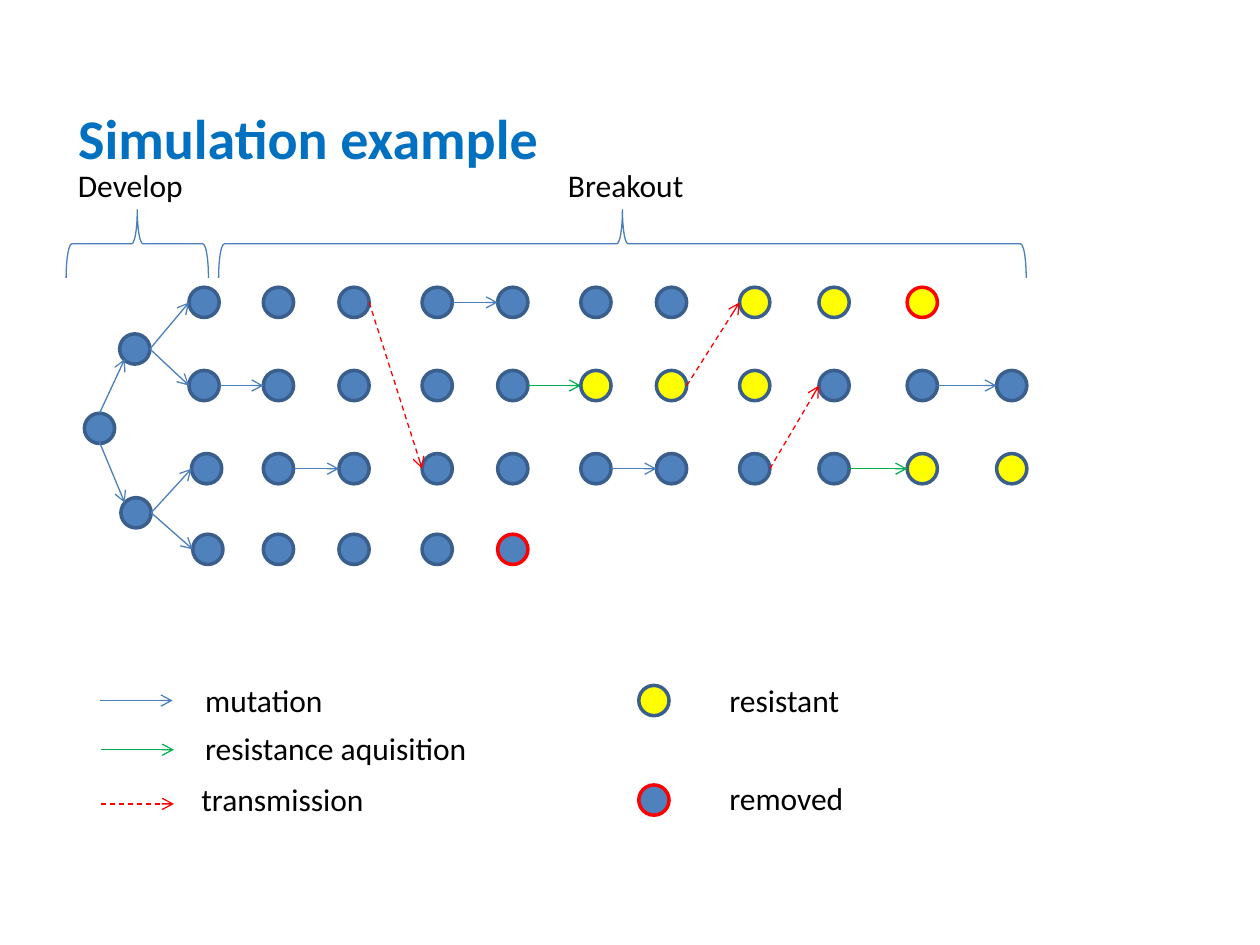
"""Build the simulation example slide with its node grid and legend."""
from pptx import Presentation
from pptx.dml.color import RGBColor
from pptx.enum.dml import MSO_LINE
from pptx.enum.shapes import MSO_CONNECTOR, MSO_SHAPE
from pptx.enum.text import MSO_ANCHOR, MSO_AUTO_SIZE, PP_ALIGN
from pptx.oxml.ns import qn
from pptx.util import Inches, Pt
from lxml.etree import SubElement

BLUE = RGBColor(0x4F, 0x81, 0xBD)
NAVY = RGBColor(0x3A, 0x5F, 0x8C)
STEEL = RGBColor(0x4B, 0x7E, 0xBC)
YELLOW = RGBColor(0xFF, 0xFF, 0x00)
RED = RGBColor(0xFF, 0x00, 0x00)
GREEN = RGBColor(0x00, 0xB0, 0x50)
AZURE = RGBColor(0x00, 0x70, 0xC0)
BLACK = RGBColor(0x00, 0x00, 0x00)

SIZE = 0.24
HALF = SIZE / 2
LOOKS = {"B": (BLUE, NAVY), "Y": (YELLOW, NAVY), "R": (BLUE, RED), "X": (YELLOW, RED)}
ROWS = ["BBBBBBBYYX", "BBBBBYYYBBB", "BBBBBBBBBYY", "BBBBR"]
TOPS = [2.28, 2.94, 3.6, 4.24]
STARTS = [1.5, 1.5, 1.52, 1.53]
COLS = [2.09, 2.69, 3.35, 3.95, 4.61, 5.21, 5.87, 6.5, 7.2, 7.91]
ROOT, UPPER, LOWER = (0.67, 3.28), (0.95, 2.65), (0.96, 3.95)
LINKS = [
    (STEEL, [((0, 3), (0, 4)), ((1, 0), (1, 1)), ((1, 9), (1, 10)),
             ((2, 1), (2, 2)), ((2, 5), (2, 6))]),
    (GREEN, [((1, 4), (1, 5)), ((2, 8), (2, 9))]),
    (RED, [((0, 2), (2, 3)), ((1, 6), (0, 7)), ((2, 7), (1, 8))]),
]
KEYS = [("mutation", STEEL, 0.79, 5.56, 1.53, 5.36),
        ("resistance aquisition", GREEN, 0.8, 5.95, 1.53, 5.74),
        ("transmission", RED, 0.8, 6.38, 1.5, 6.14)]


def spot(row, col):
    return (COLS[col - 1] if col else STARTS[row]), TOPS[row]


class Canvas:
    def __init__(self, slide, font="Calibri"):
        self.slide = slide
        self.shapes = slide.shapes
        self.font = font

    def style(self, frame, size, color, bold=False):
        for run in frame.paragraphs[0].runs:
            run.font.name = self.font
            run.font.size = Pt(size)
            run.font.bold = bold
            run.font.color.rgb = color

    def title(self, text, left, top, width, height):
        shape = self.shapes.title
        shape.left, shape.top = Inches(left), Inches(top)
        shape.width, shape.height = Inches(width), Inches(height)
        frame = shape.text_frame
        frame.text = text
        frame.vertical_anchor = MSO_ANCHOR.MIDDLE
        frame.paragraphs[0].alignment = PP_ALIGN.LEFT
        self.style(frame, 32, AZURE, True)

    def label(self, text, left, top, width):
        box = self.shapes.add_textbox(Inches(left), Inches(top), Inches(width), Inches(0.4))
        frame = box.text_frame
        frame.word_wrap = True
        frame.auto_size = MSO_AUTO_SIZE.SHAPE_TO_FIT_TEXT
        frame.text = text
        self.style(frame, 18, BLACK)

    def node(self, place, code="B"):
        left, top = place
        shape = self.shapes.add_shape(
            MSO_SHAPE.OVAL, Inches(left), Inches(top), Inches(SIZE), Inches(SIZE))
        shape.shadow.inherit = False
        fill, edge = LOOKS[code]
        shape.fill.solid()
        shape.fill.fore_color.rgb = fill
        shape.line.color.rgb = edge
        shape.line.width = Pt(2)

    def brace(self, left, top, width, height):
        shape = self.shapes.add_shape(
            MSO_SHAPE.RIGHT_BRACE, Inches(left), Inches(top), Inches(width), Inches(height))
        shape.rotation = 270
        shape.shadow.inherit = False
        shape.fill.background()
        shape.line.color.rgb = STEEL
        shape.line.width = Pt(0.75)

    def arrow(self, start, end, color=STEEL):
        link = self.shapes.add_connector(
            MSO_CONNECTOR.STRAIGHT, *(Inches(value) for value in (*start, *end)))
        link.line.color.rgb = color
        link.line.width = Pt(0.75)
        if color == RED:
            link.line.dash_style = MSO_LINE.DASH
        SubElement(link.line._get_or_add_ln(), qn("a:tailEnd"), type="arrow")
        SubElement(link._element.spPr, qn("a:effectLst"))

    def join(self, first, last, color=STEEL):
        self.arrow((first[0] + SIZE, first[1] + HALF), (last[0], last[1] + HALF), color)


def main():
    deck = Presentation()
    deck.slide_width, deck.slide_height = Inches(10), Inches(7.5)
    page = Canvas(deck.slides.add_slide(deck.slide_layouts[5]))
    page.title("Simulation example", 0.52, 0.65, 8.5, 0.87)

    for place in (ROOT, UPPER, LOWER):
        page.node(place)
    for row, codes in enumerate(ROWS):
        for col, code in enumerate(codes):
            page.node(spot(row, col), code)

    page.arrow((0.79, 3.28), (0.99, 2.85))
    page.arrow((0.79, 3.51), (0.99, 3.99))
    for row in range(4):
        page.join(UPPER if row < 2 else LOWER, spot(row, 0))
    for color, pairs in LINKS:
        for first, last in pairs:
            page.join(spot(*first), spot(*last), color)

    page.brace(0.82, 1.37, 0.54, 1.13)
    page.brace(4.67, -1.27, 0.54, 6.41)
    page.label("Develop", 0.52, 1.27, 1.1)
    page.label("Breakout", 4.41, 1.27, 1.14)

    for text, color, left, mid, edge, top in KEYS:
        page.arrow((left, mid), (left + 0.58, mid), color)
        page.label(text, edge, top, 2.42)
    for text, code, high, top in (("resistant", "Y", 5.44, 5.36), ("removed", "R", 6.23, 6.13)):
        page.node((5.07, high), code)
        page.label(text, 5.69, top, 1.28)

    deck.save("out.pptx")


if __name__ == "__main__":
    main()
